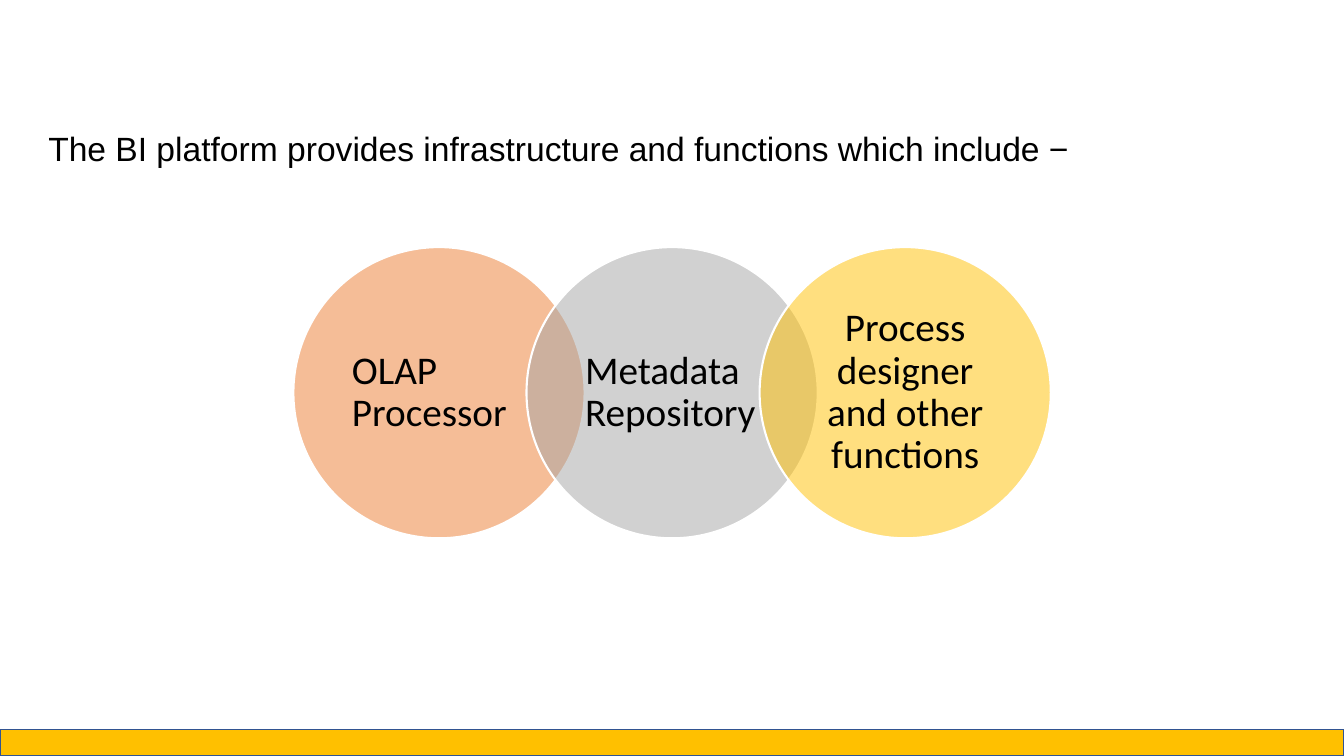
from lxml.etree import SubElement
from pptx import Presentation
from pptx.dml.color import RGBColor
from pptx.enum.shapes import MSO_SHAPE
from pptx.enum.text import MSO_ANCHOR, PP_ALIGN
from pptx.oxml.ns import qn
from pptx.util import Pt


def add_filled(preset, bounds, fill, line, line_width):
    shape = page.shapes.add_shape(preset, *map(Pt, bounds))
    shape.shadow.inherit = False
    shape.fill.solid()
    shape.fill.fore_color.rgb = RGBColor.from_string(fill)
    shape.line.color.rgb = RGBColor.from_string(line)
    shape.line.width = Pt(line_width)
    return shape


def write_text(frame, text, font_name, size, alignment, frame_format):
    for name, value in frame_format.items():
        setattr(frame, name, value)
    para = frame.paragraphs[0]
    para.alignment = alignment
    span = para.add_run()
    span.text = text
    for name, value in {"name": font_name, "size": Pt(size)}.items():
        setattr(span.font, name, value)
    span.font.color.rgb = RGBColor.from_string("000000")
    return para


deck = Presentation()
deck.slide_width, deck.slide_height = Pt(960), Pt(540)
page = deck.slides.add_slide(deck.slide_layouts[6])

add_filled(MSO_SHAPE.RECTANGLE, (0, 521, 960, 19), "FFC000", "325491", 1)

heading = page.shapes.add_textbox(Pt(27.4), Pt(87.8), Pt(916.6), Pt(65.5))
write_text(
    heading.text_frame,
    "The BI platform provides infrastructure and functions which include −",
    "Arial", 24, PP_ALIGN.JUSTIFY, {"word_wrap": True},
)

circle_size, circle_step = 208, 166.5
circle_left, circle_top = 209.6, 176.5
circle_format = {
    "word_wrap": True,
    "vertical_anchor": MSO_ANCHOR.MIDDLE,
    "margin_left": Pt(11.4),
    "margin_right": Pt(11.4),
    "margin_top": Pt(2.8),
    "margin_bottom": Pt(2.8),
}
circles = [
    ("OLAP Processor", "ED7D31", PP_ALIGN.LEFT),
    ("Metadata Repository", "A5A5A5", PP_ALIGN.LEFT),
    ("Process designer and other functions", "FFC000", PP_ALIGN.CENTER),
]
for index, (label, color, alignment) in enumerate(circles):
    bounds = (circle_left + index * circle_step, circle_top, circle_size, circle_size)
    circle = add_filled(MSO_SHAPE.OVAL, bounds, color, "FFFFFF", 1.5)
    fill_color = circle.element.spPr.find(qn("a:solidFill"))[0]
    SubElement(fill_color, qn("a:alpha"), val="50000")
    para = write_text(circle.text_frame, label, "Calibri", 28, alignment, circle_format)
    para.line_spacing = 0.9

deck.save("out.pptx")
